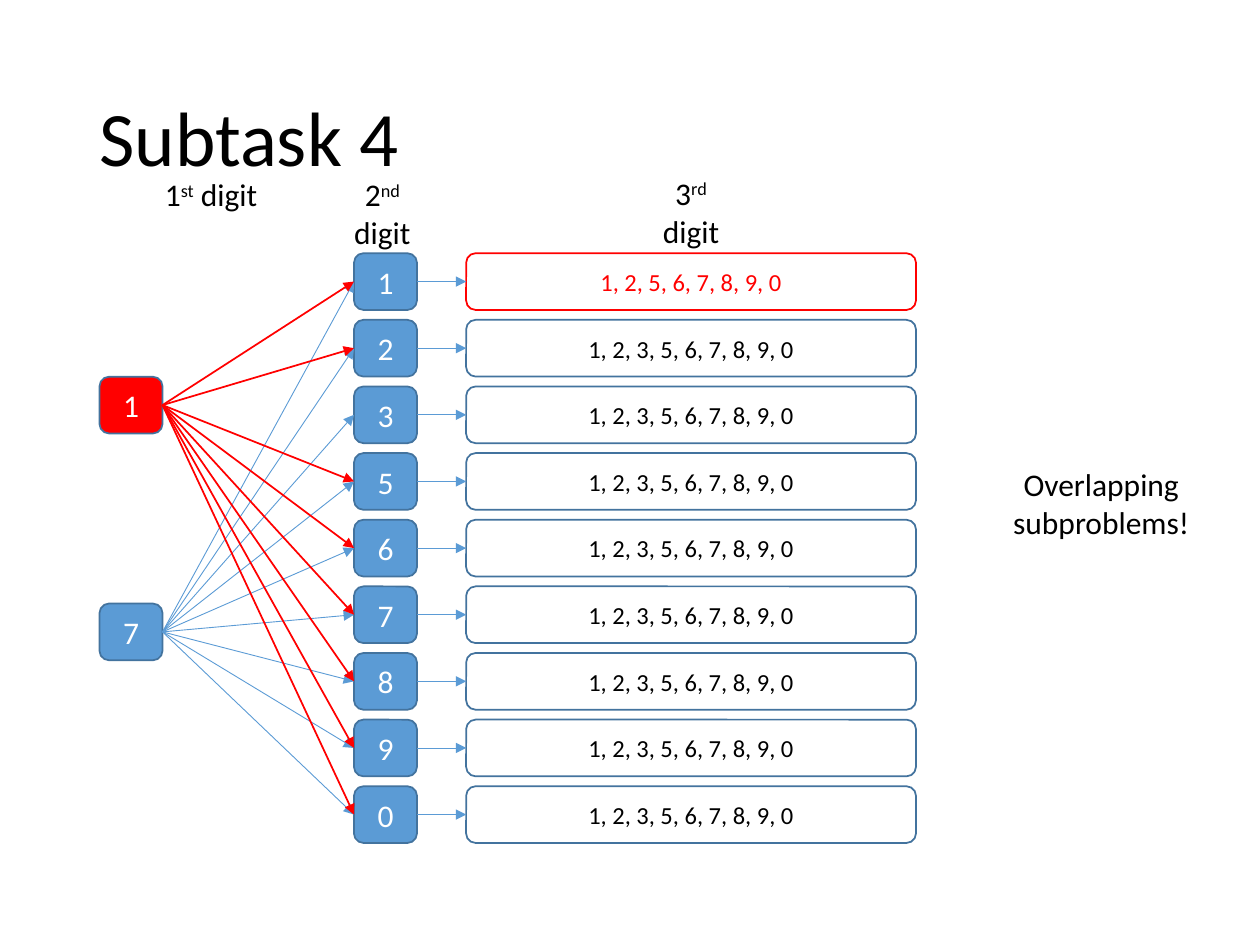
from dataclasses import dataclass

from pptx import Presentation
from pptx.dml.color import RGBColor as Rgb
from pptx.enum.shapes import MSO_CONNECTOR as Connector, MSO_SHAPE as Preset
from pptx.enum.text import MSO_ANCHOR as Anchor, PP_ALIGN as Align
from pptx.oxml.ns import qn
from pptx.util import Inches, Pt


@dataclass(frozen=True)
class Theme:
    """Colours, type sizes and line widths of the slide."""
    font: str = "Calibri"
    blue: Rgb = Rgb(0x5B, 0x9B, 0xD5)
    outline: Rgb = Rgb(0x43, 0x73, 0x9E)
    red: Rgb = Rgb(0xFF, 0, 0)
    black: Rgb = Rgb(0, 0, 0)
    white: Rgb = Rgb(0xFF, 0xFF, 0xFF)
    title: Pt = Pt(44)
    body: Pt = Pt(18)
    small: Pt = Pt(14)
    thin: Pt = Pt(0.5)
    strong: Pt = Pt(1)


@dataclass(frozen=True)
class Node:
    """A rounded box holding one or more digits."""
    text: str
    left: float
    top: float
    width: float = 0.5
    fill: Rgb | None = None
    border: Rgb = Theme.outline
    ink: Rgb = Theme.white
    size: Pt = Theme.body


@dataclass(frozen=True)
class Label:
    """A text box made of (text, is superscript) pieces."""
    pieces: tuple
    left: float
    top: float
    width: float
    height: float = 0.71
    size: Pt = Theme.body
    align: Align = Align.CENTER
    anchor: Anchor = Anchor.TOP
    spacing: float = 1.0


THEME = Theme()
BOX_HEIGHT = 0.45
FIRST_LEFT, SECOND_LEFT, THIRD_LEFT = 0.79, 2.81, 3.7
ROW_TOP, LAST_TOP = 2.01, 6.24
DIGITS = "123567890"
AFTER_ONE = "12567890"


def apply(target, formats: dict) -> None:
    """Set each named format value on the target."""
    for name, value in formats.items():
        setattr(target, name, value)


def write(paragraph, text: str, size: Pt, ink: Rgb, raised: bool = False) -> None:
    """Add a formatted run to a paragraph."""
    run = paragraph.add_run()
    run.text = text
    apply(run.font, {"name": THEME.font, "size": size})
    run.font.color.rgb = ink
    if raised:
        run.font._element.set("baseline", "30000")


def draw_node(slide, node: Node):
    """Draw a rounded digit box and return it."""
    box = slide.shapes.add_shape(
        Preset.ROUNDED_RECTANGLE,
        *map(Inches, (node.left, node.top, node.width, BOX_HEIGHT)))
    box.shadow.inherit = False
    if node.fill is None:
        box.fill.background()
    else:
        box.fill.solid()
        box.fill.fore_color.rgb = node.fill
    box.line.color.rgb = node.border
    box.line.width = THEME.strong
    apply(box.text_frame, {"word_wrap": True, "vertical_anchor": Anchor.MIDDLE})
    paragraph = box.text_frame.paragraphs[0]
    paragraph.alignment = Align.CENTER
    write(paragraph, node.text, node.size, node.ink)
    return box


def draw_label(slide, label: Label) -> None:
    """Draw a text box."""
    frame = slide.shapes.add_textbox(
        *map(Inches, (label.left, label.top, label.width, label.height))).text_frame
    apply(frame, {"word_wrap": True, "vertical_anchor": label.anchor})
    paragraph = frame.paragraphs[0]
    apply(paragraph, {"alignment": label.align, "line_spacing": label.spacing})
    for text, raised in label.pieces:
        write(paragraph, text, label.size, THEME.black, raised)


def draw_arrow(slide, start, end, color: Rgb, width: Pt) -> None:
    """Join the right side of one box to the left side of another."""
    arrow = slide.shapes.add_connector(Connector.STRAIGHT, 0, 0, 0, 0)
    arrow.begin_connect(start, 3)
    arrow.end_connect(end, 1)
    arrow.line.color.rgb = color
    arrow.line.width = width
    line = arrow.line._get_or_add_ln()
    line.append(line.makeelement(qn("a:tailEnd"), {"type": "triangle"}))
    properties = arrow._element.spPr
    properties.append(properties.makeelement(qn("a:effectLst"), {}))


def main() -> None:
    """Build the digit tree slide."""
    deck = Presentation()
    apply(deck, {"slide_width": Inches(10), "slide_height": Inches(7.5)})
    slide = deck.slides.add_slide(deck.slide_layouts[6])
    draw_label(slide, Label((("Subtask 4", False),), 0.69, 0.4, 8.62, 1.45,
                            THEME.title, Align.LEFT, Anchor.MIDDLE, 0.9))

    pitch = (LAST_TOP - ROW_TOP) / (len(DIGITS) - 1)
    tops = {digit: ROW_TOP + row * pitch for row, digit in enumerate(DIGITS)}
    seven = draw_node(slide, Node("7", FIRST_LEFT, 4.79, fill=THEME.blue))
    seconds = {digit: draw_node(slide, Node(digit, SECOND_LEFT, top, fill=THEME.blue))
               for digit, top in tops.items()}
    for second in seconds.values():
        draw_arrow(slide, seven, second, THEME.blue, THEME.thin)

    for digit, top in tops.items():
        limited = digit == "1"
        third = draw_node(slide, Node(
            ", ".join(AFTER_ONE if limited else DIGITS), THIRD_LEFT, top, 3.57,
            border=THEME.red if limited else THEME.outline,
            ink=THEME.red if limited else THEME.black, size=THEME.small))
        draw_arrow(slide, seconds[digit], third, THEME.blue, THEME.thin)

    for number, suffix, left, top in (("1", "st", 1.2, 1.34), ("2", "nd", 2.56, 1.34),
                                      ("3", "rd", 5.01, 1.33)):
        pieces = ((number, False), (suffix, True), (" digit", False))
        draw_label(slide, Label(pieces, left, top, 0.95))

    one = draw_node(slide, Node("1", FIRST_LEFT, 2.99, fill=THEME.red))
    for digit in AFTER_ONE:
        draw_arrow(slide, one, seconds[digit], THEME.red, THEME.strong)
    draw_label(slide, Label((("Overlapping subproblems!", False),), 7.74, 3.64, 2))
    deck.save("out.pptx")


if __name__ == "__main__":
    main()
